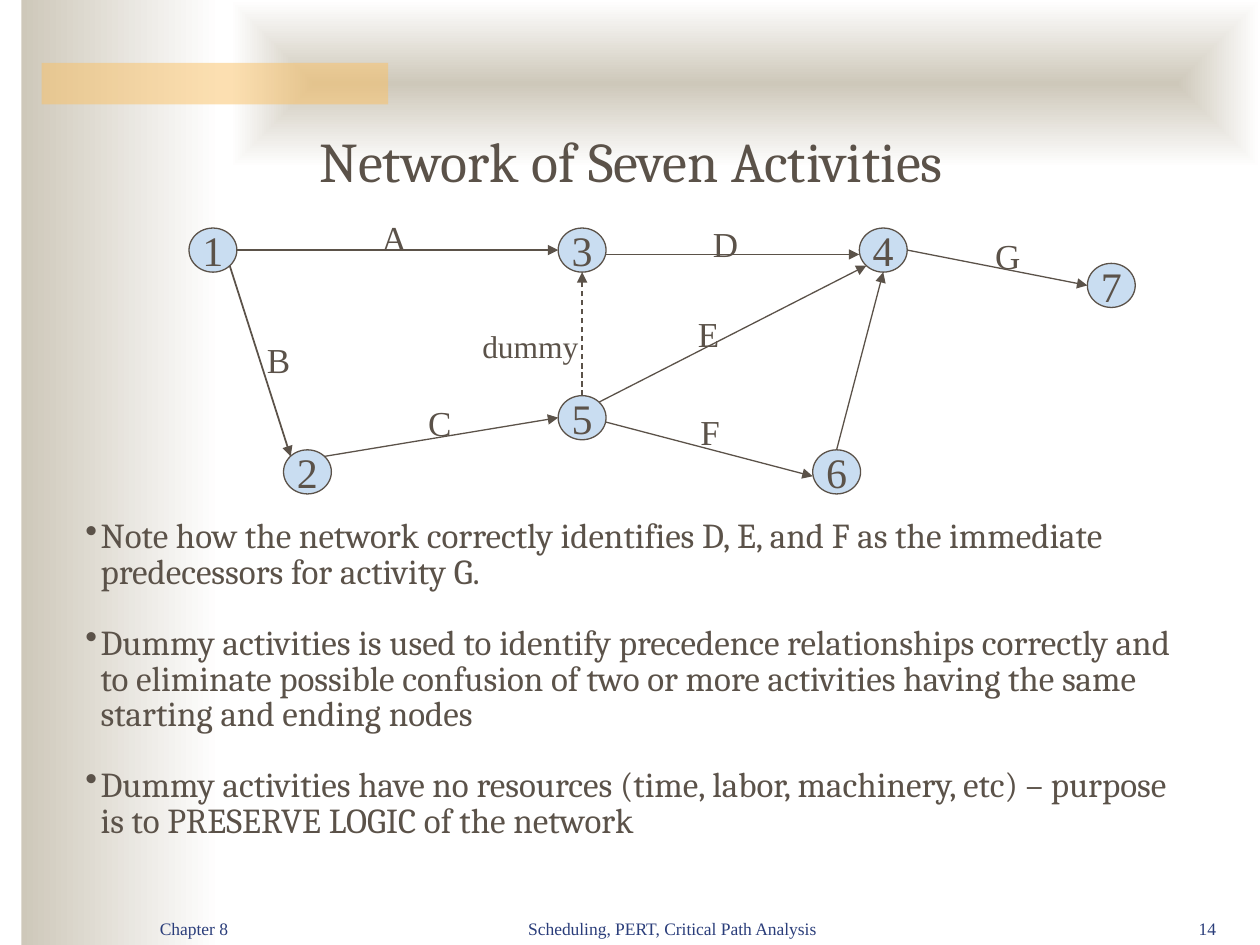
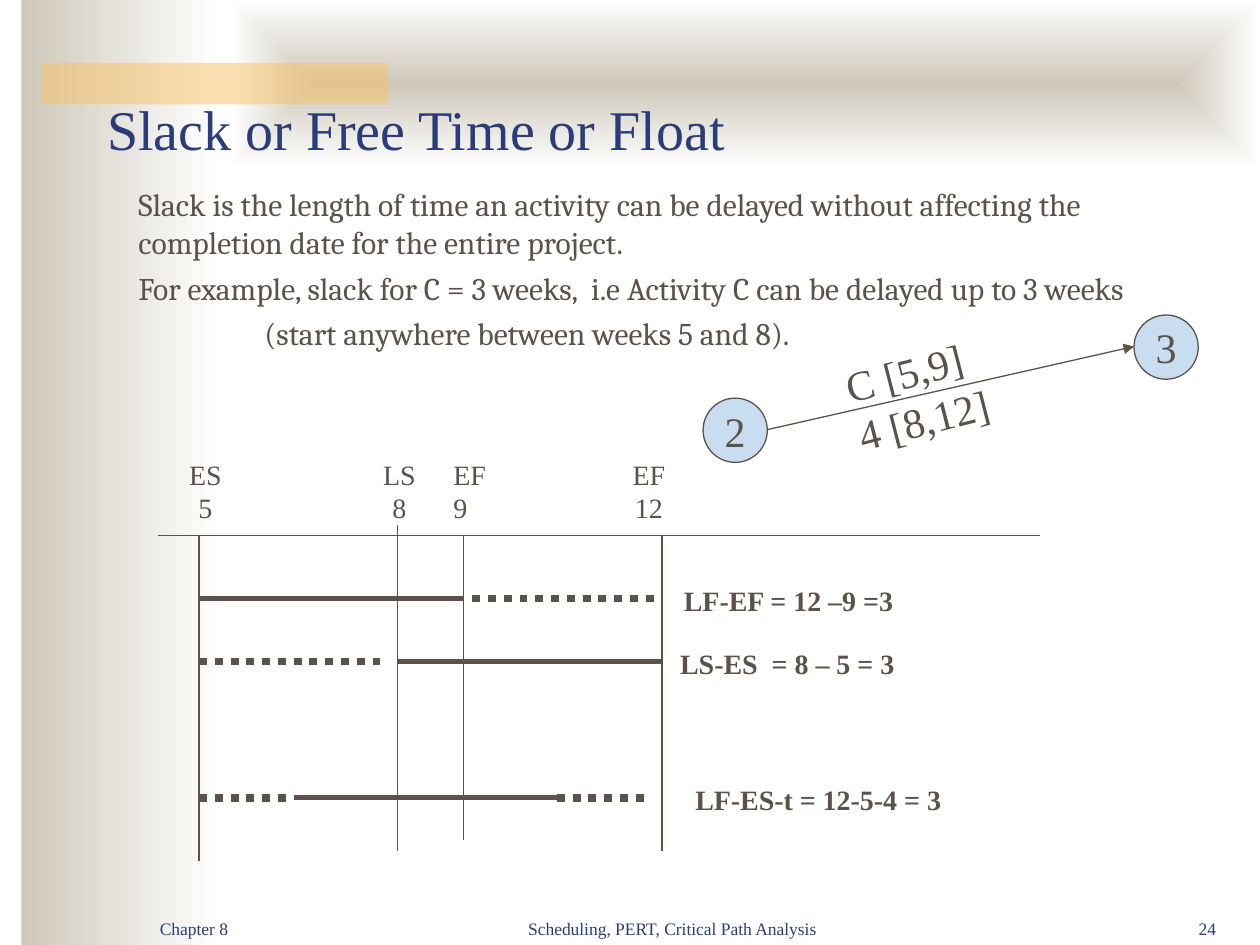
from dataclasses import dataclass

from lxml.etree import SubElement
from pptx import Presentation
from pptx.dml.color import RGBColor
from pptx.enum.dml import MSO_LINE
from pptx.enum.shapes import MSO_CONNECTOR, MSO_SHAPE
from pptx.enum.text import MSO_ANCHOR, MSO_AUTO_SIZE, PP_ALIGN
from pptx.oxml.ns import qn
from pptx.util import Inches, Pt


@dataclass(frozen=True)
class Theme:
    ink: str = "5B5249"
    navy: str = "2A3D7A"
    sand: str = "CEC8BA"
    white: str = "FFFFFF"
    gold: str = "FAC164"
    node: str = "C9DDF1"
    serif: str = "Cambria"
    roman: str = "Times New Roman"
    title: int = 32
    large: int = 24
    body: int = 20
    note: int = 18
    small: int = 16
    foot: int = 10
    thin: float = 0.75


T = Theme()
LEFT, MID, RIGHT = PP_ALIGN.LEFT, PP_ALIGN.CENTER, PP_ALIGN.RIGHT


def color(code):
    return RGBColor.from_string(code)


# Text
def style(par, size, face=T.roman, ink=T.ink, align=LEFT, bold=False):
    par.alignment = align
    font = par.font
    font.size, font.name, font.bold = Pt(size), face, bold
    font.color.rgb = color(ink)


def write(frame, lines, size, **look):
    for i, line in enumerate(lines):
        par = frame.add_paragraph() if i else frame.paragraphs[0]
        par.text = line
        style(par, size, **look)


def label(shapes, box, lines, size, anchor=MSO_ANCHOR.TOP, **look):
    shape = shapes.add_textbox(*map(Inches, box))
    frame = shape.text_frame
    frame.word_wrap = True
    frame.vertical_anchor = anchor
    write(frame, lines, size, **look)
    return shape


# Shapes and lines
def block(shapes, kind, box):
    shape = shapes.add_shape(kind, *map(Inches, box))
    shape.shadow.inherit = False
    shape.line.fill.background()
    return shape


def node(shapes, kind, box, name):
    shape = block(shapes, kind, box)
    shape.fill.solid()
    shape.fill.fore_color.rgb = color(T.node)
    shape.line.color.rgb = color(T.ink)
    shape.line.width = Pt(T.thin)
    frame = shape.text_frame
    frame.word_wrap = False
    frame.vertical_anchor = MSO_ANCHOR.MIDDLE
    write(frame, [name], T.large, align=MID)


def rule(shapes, start, end, width=T.thin, dash=None, arrow=False):
    line = shapes.add_connector(
        MSO_CONNECTOR.STRAIGHT, *map(Inches, (*start, *end)))
    line.line.color.rgb = color(T.ink)
    line.line.width = Pt(width)
    if dash:
        line.line.dash_style = dash
    props = line._element.spPr
    if arrow:
        SubElement(props.find(qn("a:ln")), qn("a:tailEnd"), type="triangle")
    SubElement(props, qn("a:effectLst"))


# Shared background, kept on the layout
def fade(shape):
    shape.fill.gradient()
    for stop, code in zip(shape.fill.gradient_stops, (T.sand, T.white)):
        stop.color.rgb = color(code)
    first, last = shape.fill.gradient_stops
    first.position, last.position = 0, 1
    shape.fill.gradient_angle = 0


def bands(slide, layout):
    side, top, bar = [
        block(slide.shapes, MSO_SHAPE.RECTANGLE, box)
        for box in ((0.17, 0, 1.58, 7.5), (1.83, 0, 8.17, 1.33),
                    (0.33, 0.5, 2.75, 0.33))]
    fade(side)
    fade(top)
    grad = top._element.spPr.find(qn("a:gradFill"))
    grad.remove(grad.find(qn("a:lin")))
    focus = SubElement(grad, qn("a:path"), path="rect")
    SubElement(focus, qn("a:fillToRect"),
               {edge: "50000" for edge in "ltrb"})
    bar.fill.solid()
    bar.fill.fore_color.rgb = color(T.gold)
    tint = bar._element.spPr.find(qn("a:solidFill"))[0]
    SubElement(tint, qn("a:alpha"), val="50000")
    tree = layout.shapes._spTree
    for i, band in enumerate((side, top, bar)):
        band._element.nvSpPr.cNvPr.set("id", str(90 + i))
        tree.insert(2 + i, band._element)


def footer(slide, page):
    for left, width, words, align in (
            (1.17, 2.08, "Chapter 8", LEFT),
            (3.75, 3.17, "Scheduling, PERT, Critical Path Analysis", MID),
            (8.75, 1, page, RIGHT)):
        label(slide.shapes, (left, 7, width, 0.5), [words], T.foot,
              anchor=MSO_ANCHOR.BOTTOM, ink=T.navy, align=align)


def head(slide, words, box, anchor, **look):
    shape = slide.shapes.title
    shape.left, shape.top, shape.width, shape.height = map(Inches, box)
    frame = shape.text_frame
    frame.auto_size = MSO_AUTO_SIZE.NONE
    frame.word_wrap = True
    frame.vertical_anchor = anchor
    write(frame, [words], T.title, **look)


# Activity network
NODES = {"1": (0, 0), "3": (2.93, 0), "4": (5.32, 0), "2": (0.75, 1.76),
         "5": (2.93, 1.33), "7": (7.13, 0.28), "6": (4.95, 1.76)}
SITES = {"top": (0.5, 0), "base": (0.5, 1), "left": (0, 0.5),
         "right": (1, 0.5), "low left": (0, 0.6), "low right": (1, 0.6),
         "NW": (0.15, 0.15), "NE": (0.85, 0.15),
         "SW": (0.15, 0.85), "SE": (0.85, 0.85)}
EDGES = [("1", "right", "3", "left", T.thin, None),
         ("3", "low right", "4", "low left", 1, None),
         ("1", "SE", "2", "NW", 1, None),
         ("2", "NE", "5", "left", T.thin, None),
         ("5", "top", "3", "base", T.thin, MSO_LINE.DASH),
         ("5", "NE", "4", "SW", T.thin, None),
         ("5", "low right", "6", "low left", T.thin, None),
         ("6", "top", "4", "base", T.thin, None),
         ("4", "right", "7", "left", T.thin, None)]
TAGS = {"A": (1.43, -0.14), "B": (0.52, 0.83), "C": (1.8, 1.33),
        "D": (4.06, -0.09), "E": (3.94, 0.62), "F": (3.96, 1.4),
        "G": (6.3, 0)}


def network(slide, left, top):
    shapes = slide.shapes.add_group_shape().shapes
    wide, high = 0.38, 0.35

    def port(name, site):
        (x, y), (across, down) = NODES[name], SITES[site]
        return left + x + across * wide, top + y + down * high

    for name, (x, y) in NODES.items():
        node(shapes, MSO_SHAPE.OVAL, (left + x, top + y, wide, high), name)
    for start, out, end, into, width, dash in EDGES:
        rule(shapes, port(start, out), port(end, into), width, dash, True)
    for name, (x, y) in TAGS.items():
        label(shapes, (left + x, top + y, 0.5, 0.44), [name], T.body)
    label(shapes, (left + 2.16, top + 0.74, 1.1, 0.4), ["dummy"], T.note,
          align=MID)


def bullets(slide, box, lines):
    shape = label(slide.shapes, box, lines, T.body, face=T.serif)
    for i, par in enumerate(shape.text_frame.paragraphs):
        par.line_spacing = 0.85
        if i:
            par.space_before = Pt(20)
        props = par._p.get_or_add_pPr()
        props.set("marL", str(Inches(0.12)))
        props.set("indent", str(-Inches(0.12)))
        font = props.find(qn("a:defRPr"))
        props.remove(font)
        ink = SubElement(props, qn("a:buClr"))
        SubElement(ink, qn("a:srgbClr"), val=T.ink)
        SubElement(props, qn("a:buChar"), char="•")
        props.append(font)


# Slack explanation
def prose(slide, box, lines):
    words, margins = zip(*lines)
    shape = label(slide.shapes, box, words, T.note, face=T.serif)
    for i, (par, margin) in enumerate(
            zip(shape.text_frame.paragraphs, margins)):
        par._p.get_or_add_pPr().set("marL", str(Inches(margin)))
        if i:
            par.space_before = Pt(4.5)


def arc(slide, left, top):
    size = 0.51
    for name, x, y in (("2", 0, 0.66), ("3", 3.42, 0)):
        node(slide.shapes, MSO_SHAPE.FLOWCHART_CONNECTOR,
             (left + x, top + y, size, size), name)
    tag = label(slide.shapes, (left + 1.07, top + 0.17, 1.35, 0.9),
                ["C [5,9]", "4 [8,12]"], T.large)
    tag.rotation = -14.5
    rule(slide.shapes, (left + size, top + 0.91), (left + 3.42, top + 0.25),
         arrow=True)


def chart(slide, left, top):
    shapes = slide.shapes
    axis = top + 0.67

    def at(week):
        return left + 0.33 + 0.525 * (week - 5)

    # Axis, week lines and headings
    rule(shapes, (left, axis), (left + 7, axis))
    for week, rise, drop in ((5, 0, 2.58), (8, 0.08, 2.5),
                             (9, 0, 2.42), (12, 0, 2.5)):
        rule(shapes, (at(week), axis - rise), (at(week), axis + drop))
    for name, week, x, align in (("ES", 5, -0.02, MID), ("LS", 8, 1.52, MID),
                                 ("EF", 9, 2.25, LEFT),
                                 ("EF", 12, 3.5, MID)):
        label(shapes, (left + x, top, 0.8, 0.64), [name, str(week)],
              T.small, align=align)

    # Solid bars for work, dotted bars for slack
    for y, work, slack, words, x in (
            (0.5, (5, 9), [(9.13, 12)], "LF-EF = 12 –9 =3", 4.08),
            (1, (8, 12), [(5, 7.86)], "LS-ES  = 8 – 5 = 3", 4.05),
            (2.08, (6.43, 10.41), [(5, 6.43), (10.41, 11.84)],
             "LF-ES-t = 12-5-4 = 3", 4.17)):
        row = axis + y
        rule(shapes, (at(work[0]), row), (at(work[1]), row), 3)
        for start, end in slack:
            rule(shapes, (at(start), row), (at(end), row), 4.5,
                 MSO_LINE.ROUND_DOT)
        label(shapes, (left + x, row - 0.17, 3, 0.37), [words], T.small,
              bold=True)


def main():
    deck = Presentation()
    deck.slide_width, deck.slide_height = Inches(10), Inches(7.5)
    layout = deck.slide_layouts[5]

    first = deck.slides.add_slide(layout)
    bands(first, layout)
    footer(first, "14")
    head(first, "Network of Seven Activities", (1.99, 0.95, 6.04, 0.64),
         MSO_ANCHOR.TOP, face=T.serif, align=MID)
    bullets(first, (0.58, 4.08, 8.92, 2.75), [
        "Note how the network correctly identifies D, E, and F as the "
        "immediate predecessors for activity G.",
        "Dummy activities is used to identify precedence relationships "
        "correctly and to eliminate possible confusion of two or more "
        "activities having the same starting and ending nodes",
        "Dummy activities have no resources (time, labor, machinery, etc) "
        "– purpose is to PRESERVE LOGIC of the network"])
    network(first, 1.5, 1.81)

    second = deck.slides.add_slide(layout)
    footer(second, "24")
    head(second, "Slack or Free Time or Float", (0.75, 0.58, 8.5, 0.75),
         MSO_ANCHOR.BOTTOM, ink=T.navy)
    prose(second, (0.5, 1.42, 9.08, 1.5), [
        ("Slack is the length of time an activity can be delayed without "
         "affecting the completion date for the entire project.", 0.5),
        ("For example, slack for C = 3 weeks,  i.e Activity C can be "
         "delayed up to 3 weeks", 0.5),
        ("(start anywhere between weeks 5 and 8).", 1.5)])
    chart(second, 1.25, 3.58)
    arc(second, 5.58, 2.5)

    deck.save("out.pptx")


if __name__ == "__main__":
    main()
